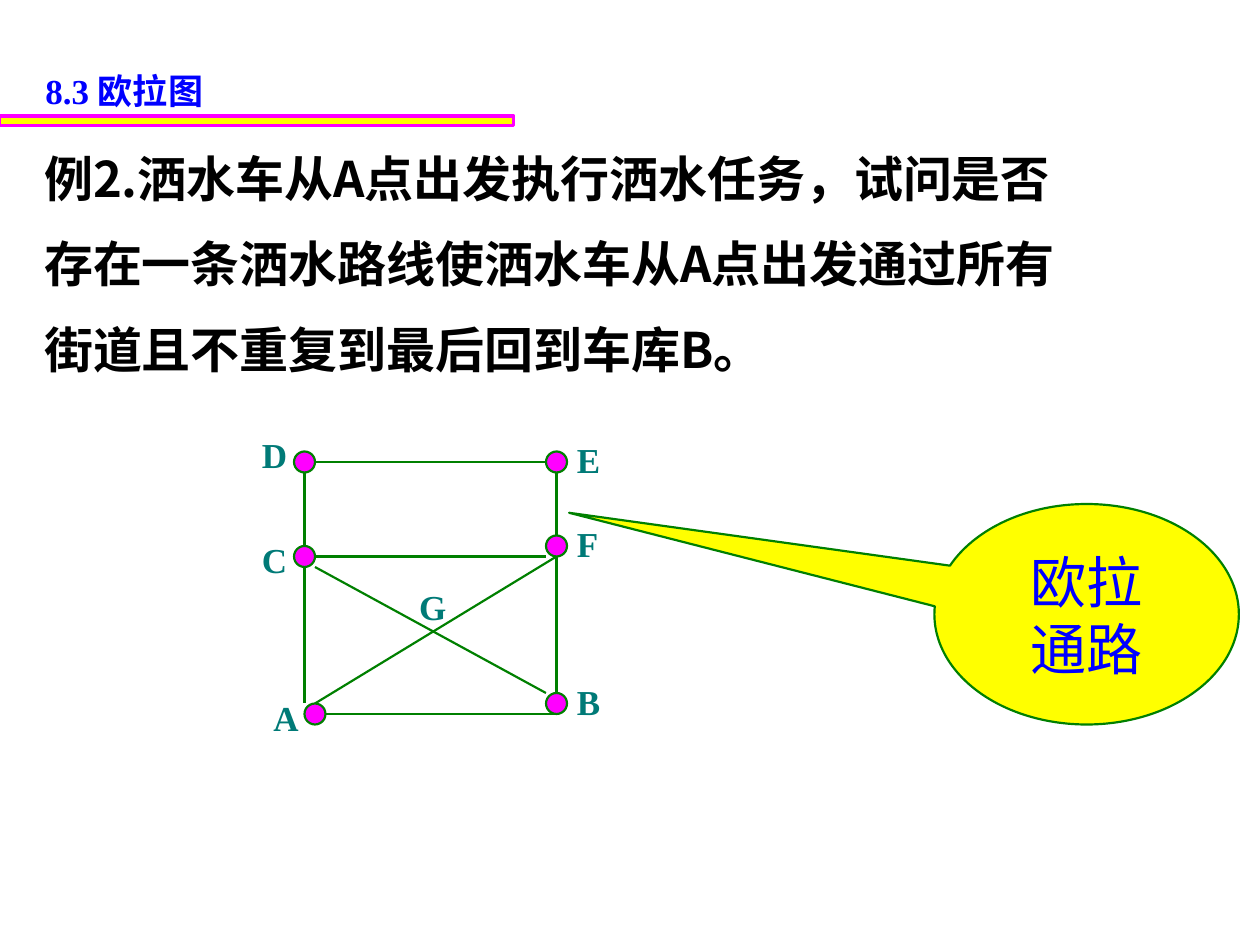
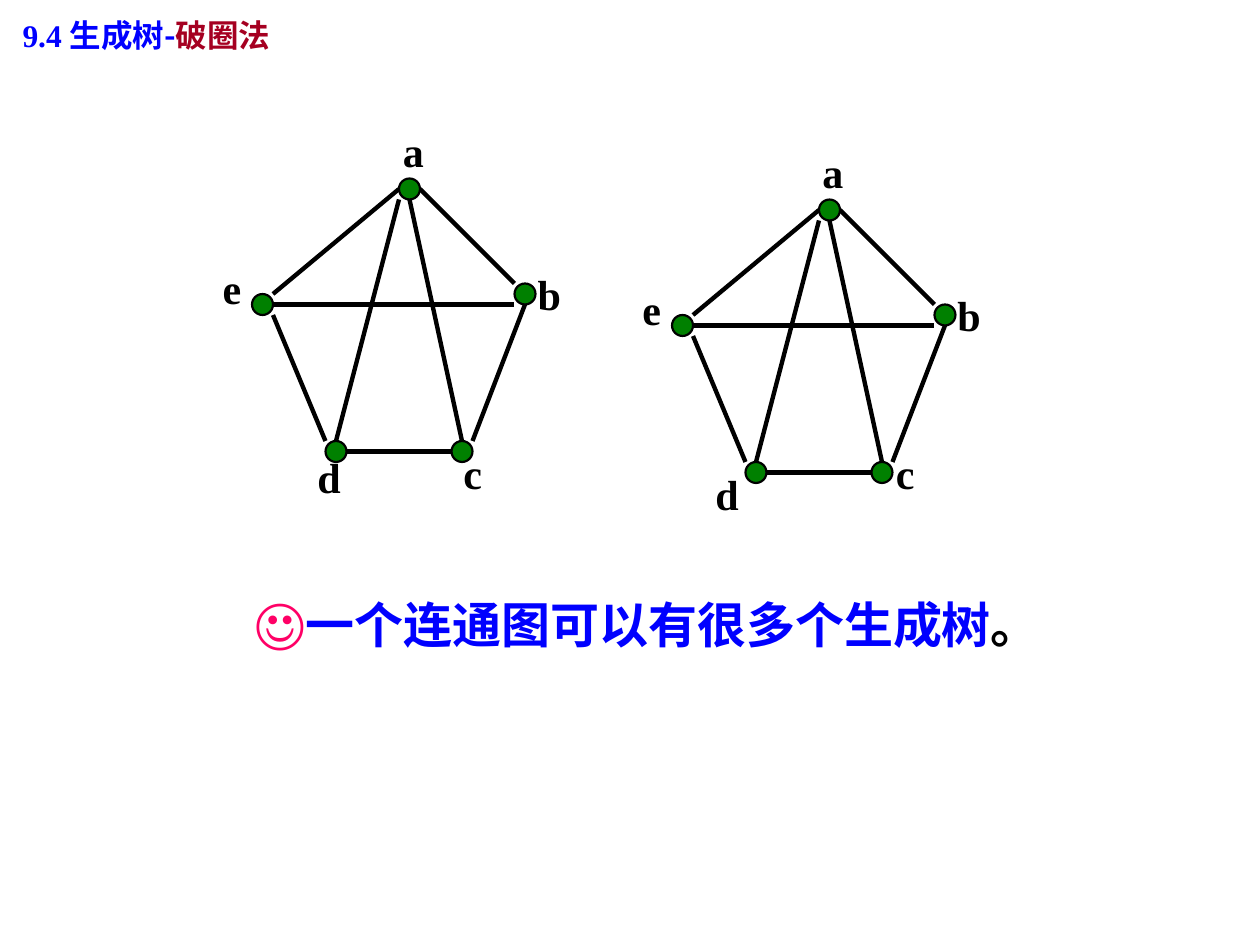
from dataclasses import dataclass

from lxml.etree import SubElement
from pptx import Presentation
from pptx.dml.color import RGBColor as Rgb
from pptx.enum.shapes import MSO_CONNECTOR as Link, MSO_SHAPE as Form
from pptx.enum.text import MSO_ANCHOR as Anchor, MSO_AUTO_SIZE as Fit, PP_ALIGN as Align
from pptx.oxml.ns import qn
from pptx.util import Cm, Pt


@dataclass(frozen=True)
class Theme:
    blue: str = "0000FF"
    red: str = "A50021"
    rose: str = "FF0066"
    pink: str = "FF00FF"
    gold: str = "FFFF00"
    green: str = "008000"
    teal: str = "007A77"
    black: str = "000000"
    serif: str = "Times New Roman"
    sans: str = "Arial"
    hans: str = "Noto Sans CJK SC"
    body: str = "Noto Sans CJK JP"
    head: int = 20
    subhead: int = 18
    tag: int = 20
    letter: int = 24
    text: int = 28
    large: int = 32
    thin: float = 1.25
    band: float = 1.75
    thick: float = 2.5


T = Theme()
UNIT = 2.54 / 12  # graph grid step in cm
DOT = 2  # node size in grid steps

STREETS = [
    ((30, 44), (52, 44)), ((29, 45), (29, 52)), ((53, 45), (53, 51)),
    ((30, 53), (52, 53)), ((29, 54), (29, 67)), ((53, 53), (53, 66)),
    ((31, 68), (53, 68)), ((30, 54), (52, 66)), ((30, 67), (53, 53)),
]
CORNERS = [(28, 43), (28, 52), (52, 43), (52, 51), (29, 67), (52, 66)]
STREET_TAGS = {
    "D": (5.03, 8.61), "E": (11.38, 8.71), "C": (5.03, 10.74), "F": (11.38, 10.41),
    "A": (5.26, 13.92), "B": (11.38, 13.59), "G": (8.2, 11.68),
}

EDGES = [
    ((26, 28), (38, 18)), ((26, 30), (31, 42)), ((33, 43), (43, 43)),
    ((45, 42), (50, 29)), ((40, 18), (49, 27)), ((26, 29), (49, 29)),
    ((38, 19), (32, 42)), ((39, 19), (44, 42)),
]
NODES = [(38, 17), (24, 28), (49, 27), (31, 42), (43, 42)]
LEFT_TAGS = {"a": (7.87, 2.41), "b": (10.59, 5.28), "c": (9.09, 8.89),
             "d": (6.15, 8.97), "e": (4.24, 5.16)}
RIGHT_TAGS = {"a": (16.33, 2.82), "b": (19.05, 5.72), "c": (17.81, 8.89),
              "d": (14.17, 9.32), "e": (12.7, 5.59)}


def grid(*steps):
    return [Cm(step * UNIT) for step in steps]


def cms(*sizes):
    return [Cm(size) for size in sizes]


def write(frame, *lines, size, ink, font, hans=T.hans, bold=True, align=Align.LEFT,
          gap=None, anchor=Anchor.TOP, fit=Fit.SHAPE_TO_FIT_TEXT, wrap=True):
    """Each line is a string or a list of (text, overrides of size, ink and font)."""
    frame.word_wrap, frame.auto_size = wrap, fit
    frame.vertical_anchor = anchor
    for i, line in enumerate(lines):
        para = frame.add_paragraph() if i else frame.paragraphs[0]
        para.alignment = align
        if gap:
            para.line_spacing = gap
        for text, own in [(line, {})] if isinstance(line, str) else line:
            look = {"size": size, "ink": ink, "font": font} | own
            run = para.add_run()
            run.text = text
            run.font.size, run.font.bold = Pt(look["size"]), bold
            run.font.name = look["font"]
            run.font.color.rgb = Rgb.from_string(look["ink"])
            SubElement(run.font._element, qn("a:ea"), typeface=hans)


def label(shapes, place, *lines, **look):
    write(shapes.add_textbox(*place).text_frame, *lines, **look)


def head(slide, place, line, size):
    title = slide.shapes.title
    title.left, title.top, title.width, title.height = place
    write(title.text_frame, line, size=size, ink=T.blue, font=T.serif)


def shape(shapes, form, place, fill, ink, width=T.thin):
    item = shapes.add_shape(form, *place)
    item.shadow.inherit = False
    item.fill.solid()
    item.fill.fore_color.rgb = Rgb.from_string(fill)
    item.line.color.rgb = Rgb.from_string(ink)
    item.line.width = Pt(width)
    return item


def edge(shapes, start, end, ink, width):
    line = shapes.add_connector(Link.STRAIGHT, *grid(*start, *end))
    line.line.color.rgb = Rgb.from_string(ink)
    line.line.width = Pt(width)
    SubElement(line._element.spPr, qn("a:effectLst"))


def graph(slide, edges, nodes, tags, fill, ink, width, size, tint, shift=(0, 0)):
    """Draw edges and nodes, moved by shift in grid steps, and tags placed in cm."""
    shapes = slide.shapes.add_group_shape().shapes
    dx, dy = shift
    for (x1, y1), (x2, y2) in edges:
        edge(shapes, (x1 + dx, y1 + dy), (x2 + dx, y2 + dy), ink, width)
    for x, y in nodes:
        shape(shapes, Form.OVAL, grid(x + dx, y + dy, DOT, DOT), fill, ink)
    for name, (x, y) in tags.items():
        label(shapes, cms(x, y, size * 0.05 - 0.25 if size > T.tag else 1, size * 0.05),
              name, size=size, ink=tint, font=T.serif, wrap=False)


def euler(slide):
    head(slide, cms(0.66, 1.27, 7.67, 1.09), "8.3 欧拉图", T.head)
    shape(slide.shapes, Form.RECTANGLE, cms(0, 2.34, 10.36, 0.2), T.gold, T.pink, T.band)
    label(slide.shapes, cms(0.64, 2.34, 24.76, 5.41),
          "例2.洒水车从A点出发执行洒水任务，试问是否",
          "存在一条洒水路线使洒水车从A点出发通过所有",
          "街道且不重复到最后回到车库B。",
          size=T.text, ink=T.black, font=T.body, hans=T.body, gap=1.45)
    graph(slide, STREETS, CORNERS, STREET_TAGS, T.pink, T.green, T.thin, T.tag, T.teal)
    call = shape(slide.shapes, Form.OVAL_CALLOUT, grid(89, 48, 29, 21), T.gold, T.green)
    call.adjustments[0], call.adjustments[1] = -1.7, -0.46
    write(call.text_frame, "欧拉", "通路", size=T.large, ink=T.blue, font=T.sans,
          bold=False, align=Align.CENTER, anchor=Anchor.MIDDLE, fit=Fit.NONE)


def tree(slide):
    head(slide, cms(0.2, 0.2, 7.82, 1.02),
         [("9.4 ", {}), ("生成树-", {"font": T.hans}),
          ("破圈法", {"font": T.hans, "ink": T.red})], T.subhead)
    for tags, shift in ((LEFT_TAGS, (0, 0)), (RIGHT_TAGS, (40, 2))):
        graph(slide, EDGES, NODES, tags, T.green, T.black, T.thick, T.letter, T.black, shift)
    label(slide.shapes, cms(4.88, 11.71, 18.85, 1.6),
          [("☺", {"size": T.large, "ink": T.rose}),
           ("一个连通图可以有很多个生成树", {}), ("。", {"ink": T.black})],
          size=T.text, ink=T.blue, font=T.sans)


def main():
    deck = Presentation()
    deck.slide_width, deck.slide_height = cms(25.4, 19.05)
    for build in (euler, tree):
        build(deck.slides.add_slide(deck.slide_layouts[5]))
    deck.save("out.pptx")


if __name__ == "__main__":
    main()
